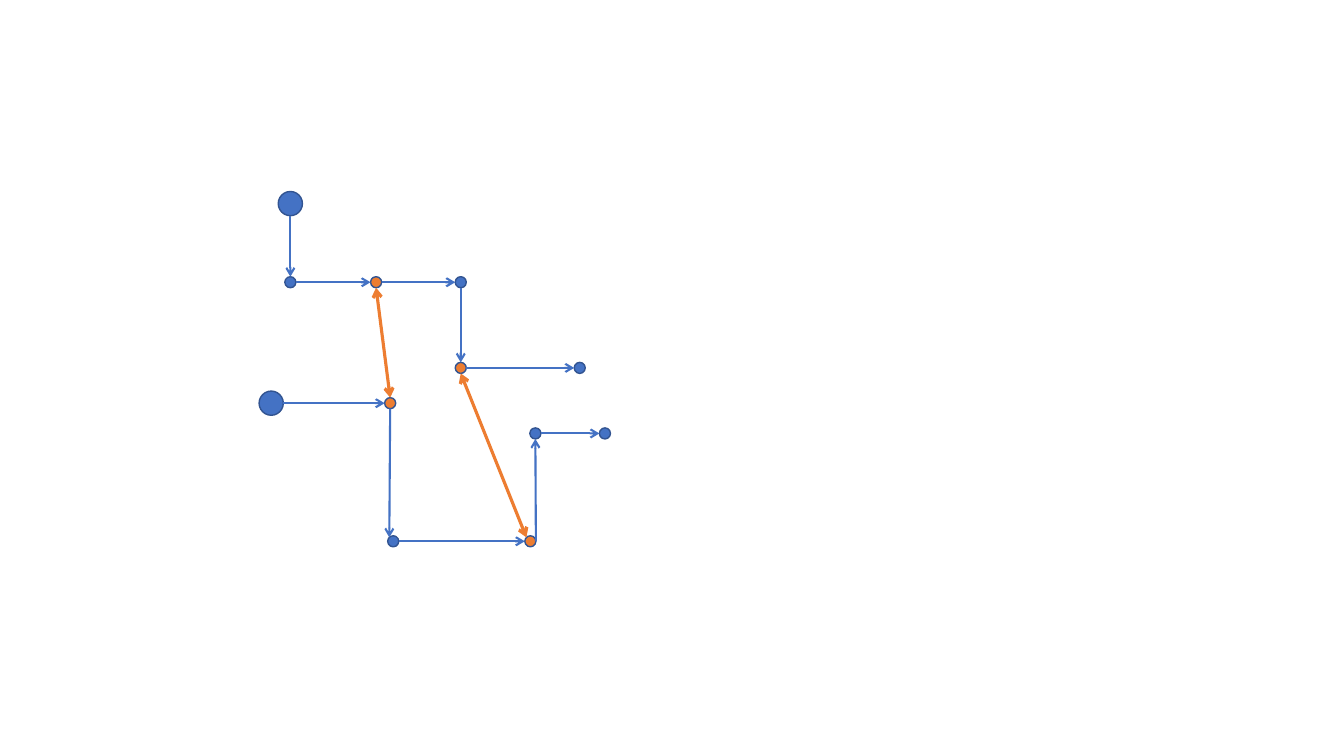
from math import cos, radians, sin

from pptx import Presentation
from pptx.dml.color import RGBColor
from pptx.enum.shapes import MSO_CONNECTOR, MSO_SHAPE
from pptx.oxml.ns import qn
from pptx.util import Inches, Pt
from lxml.etree import SubElement

BLUE = RGBColor(0x44, 0x72, 0xC4)
OUTLINE = RGBColor(0x32, 0x54, 0x91)
ORANGE = RGBColor(0xED, 0x7D, 0x31)
BIG, SMALL = 0.24, 0.11

NODES = {
    "upper start": (2.88, 2.02, BIG, BLUE),
    "upper corner": (2.88, 2.8, SMALL, BLUE),
    "upper turn": (4.57, 2.8, SMALL, BLUE),
    "upper link 1": (3.73, 2.8, SMALL, ORANGE),
    "upper link 2": (4.57, 3.65, SMALL, ORANGE),
    "upper end": (5.75, 3.65, SMALL, BLUE),
    "lower start": (2.69, 4, BIG, BLUE),
    "lower link 1": (3.87, 4, SMALL, ORANGE),
    "lower link 2": (5.26, 5.37, SMALL, ORANGE),
    "lower corner": (3.9, 5.37, SMALL, BLUE),
    "lower turn": (5.31, 4.3, SMALL, BLUE),
    "lower end": (6, 4.3, SMALL, BLUE),
}

ANGLES = {"right": 0, "bottom": 90, "left": 180, "top left": 225, "top": 270}

STEPS = [
    ("upper start", "bottom", "upper corner", "top"),
    ("upper corner", "right", "upper link 1", "left"),
    ("upper link 1", "right", "upper turn", "left"),
    ("upper turn", "bottom", "upper link 2", "top"),
    ("upper link 2", "right", "upper end", "left"),
    ("lower start", "right", "lower link 1", "left"),
    ("lower link 1", "bottom", "lower corner", "top left"),
    ("lower corner", "right", "lower link 2", "left"),
    ("lower link 2", "right", "lower turn", "bottom"),
    ("lower turn", "right", "lower end", "left"),
]
LINKS = [
    ("upper link 1", "bottom", "lower link 1", "top"),
    ("upper link 2", "bottom", "lower link 2", "top left"),
]


def add_node(slide, x, y, size, color):
    sp = slide.shapes.add_shape(
        MSO_SHAPE.OVAL, Inches(x - size / 2), Inches(y - size / 2),
        Inches(size), Inches(size))
    sp.shadow.inherit = False
    sp.fill.solid()
    sp.fill.fore_color.rgb = color
    sp.line.color.rgb = OUTLINE
    sp.line.width = Pt(1)


def anchor(name, side):
    x, y, size, _ = NODES[name]
    angle = radians(ANGLES[side])
    return Inches(x + size / 2 * cos(angle)), Inches(y + size / 2 * sin(angle))


def add_arrow(slide, edge, color, width, ends):
    start, start_side, end, end_side = edge
    cxn = slide.shapes.add_connector(
        MSO_CONNECTOR.STRAIGHT, *anchor(start, start_side), *anchor(end, end_side))
    cxn.line.color.rgb = color
    cxn.line.width = Pt(width)
    ln = cxn.line._get_or_add_ln()
    for tag in ends:
        SubElement(ln, qn(tag)).set("type", "arrow")
    SubElement(cxn._element.spPr, qn("a:effectLst"))


def main():
    prs = Presentation()
    prs.slide_width, prs.slide_height = Inches(13.33), Inches(7.5)
    slide = prs.slides.add_slide(prs.slide_layouts[6])
    for node in NODES.values():
        add_node(slide, *node)
    for edge in STEPS:
        add_arrow(slide, edge, BLUE, 1.5, ["a:tailEnd"])
    for edge in LINKS:
        add_arrow(slide, edge, ORANGE, 2.25, ["a:headEnd", "a:tailEnd"])
    prs.save("out.pptx")


if __name__ == "__main__":
    main()
